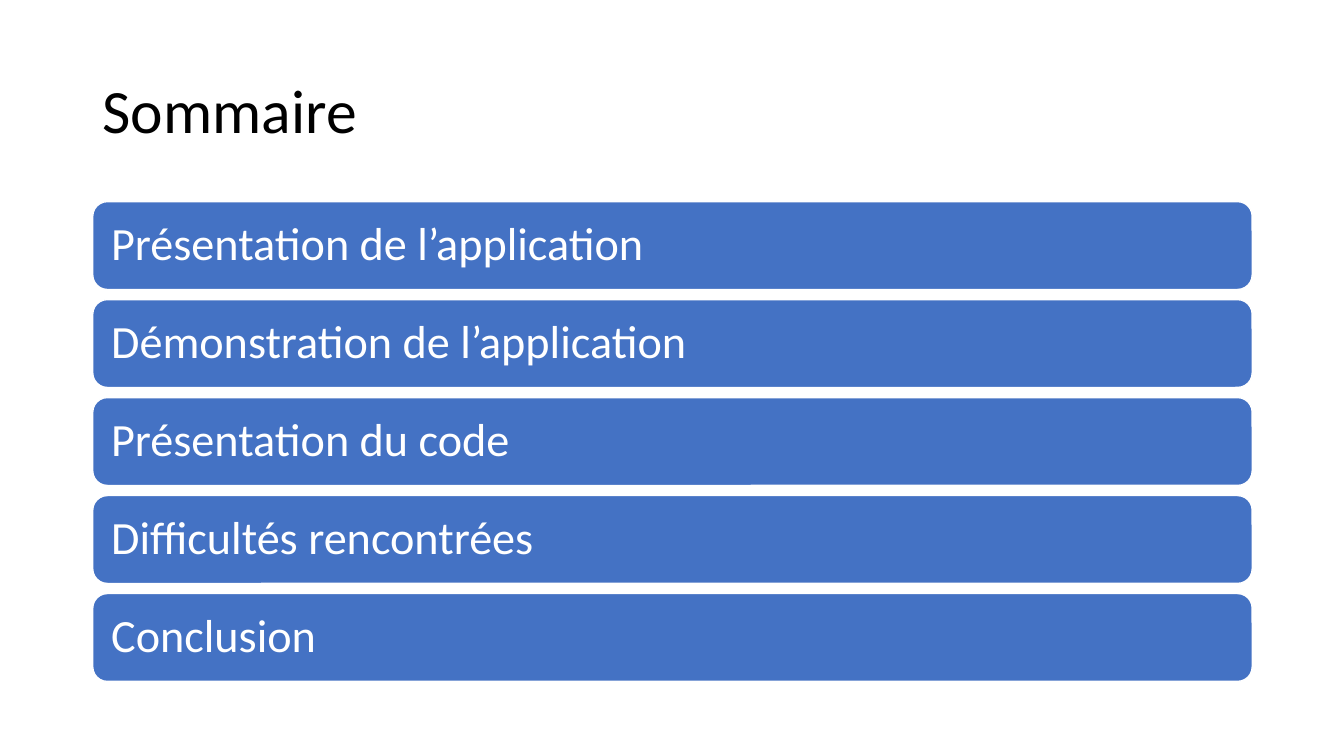
from dataclasses import dataclass

import pptx
import pptx.dml.color
import pptx.enum.shapes
import pptx.enum.text
import pptx.shapes.autoshape
import pptx.slide
import pptx.util

WIDTH, HEIGHT = 13.33, 7.5
LEFT, COLUMN = 0.92, 11.5
TOP, BOTTOM, GAP = 2.0, 6.76, 0.1
TOPICS = [
    "Présentation de l’application",
    "Démonstration de l’application",
    "Présentation du code",
    "Difficultés rencontrées",
    "Conclusion",
]
PITCH = (BOTTOM - TOP + GAP) / len(TOPICS)


@dataclass
class Entry:
    """A line of text with its row on the slide."""
    text: str
    top: float
    height: float
    size: float
    color: str


def rgb(value: str) -> pptx.dml.color.RGBColor:
    """Turn a hex string into a colour."""
    return pptx.dml.color.RGBColor.from_string(value)


def box(entry: Entry) -> tuple[pptx.util.Length, ...]:
    """Give the left, top, width and height of an entry."""
    return tuple(pptx.util.Inches(v) for v in (LEFT, entry.top, COLUMN, entry.height))


def write(sp: pptx.shapes.autoshape.Shape, entry: Entry) -> None:
    """Put the entry's text in a shape, left aligned and centred in height."""
    tf = sp.text_frame
    tf.word_wrap = True
    tf.vertical_anchor = pptx.enum.text.MSO_ANCHOR.MIDDLE
    p = tf.paragraphs[0]
    p.alignment = pptx.enum.text.PP_ALIGN.LEFT
    p.line_spacing = 0.9
    r = p.add_run()
    r.text = entry.text
    r.font.name = "Calibri"
    r.font.size = pptx.util.Pt(entry.size)
    r.font.color.rgb = rgb(entry.color)


def add_title(s: pptx.slide.Slide, entry: Entry) -> None:
    """Add the slide's heading."""
    write(s.shapes.add_textbox(*box(entry)), entry)


def add_topic(s: pptx.slide.Slide, entry: Entry) -> None:
    """Add one rounded bar of the agenda."""
    sp = s.shapes.add_shape(pptx.enum.shapes.MSO_SHAPE.ROUNDED_RECTANGLE, *box(entry))
    sp.shadow.inherit = False
    sp.fill.solid()
    sp.fill.fore_color.rgb = rgb("4472C4")
    sp.line.color.rgb = rgb("FFFFFF")
    sp.line.width = pptx.util.Pt(1)
    tf = sp.text_frame
    tf.margin_left = tf.margin_right = pptx.util.Inches(0.14)
    tf.margin_top = tf.margin_bottom = pptx.util.Inches(0.14)
    write(sp, entry)


def main() -> None:
    """Build the agenda slide and save it."""
    prs = pptx.Presentation()
    prs.slide_width = pptx.util.Inches(WIDTH)
    prs.slide_height = pptx.util.Inches(HEIGHT)
    s = prs.slides.add_slide(prs.slide_layouts[6])
    add_title(s, Entry("Sommaire", 0.4, 1.45, 44, "000000"))
    for row, topic in enumerate(TOPICS):
        add_topic(s, Entry(topic, TOP + row * PITCH, PITCH - GAP, 33, "FFFFFF"))
    prs.save("out.pptx")


if __name__ == "__main__":
    main()
